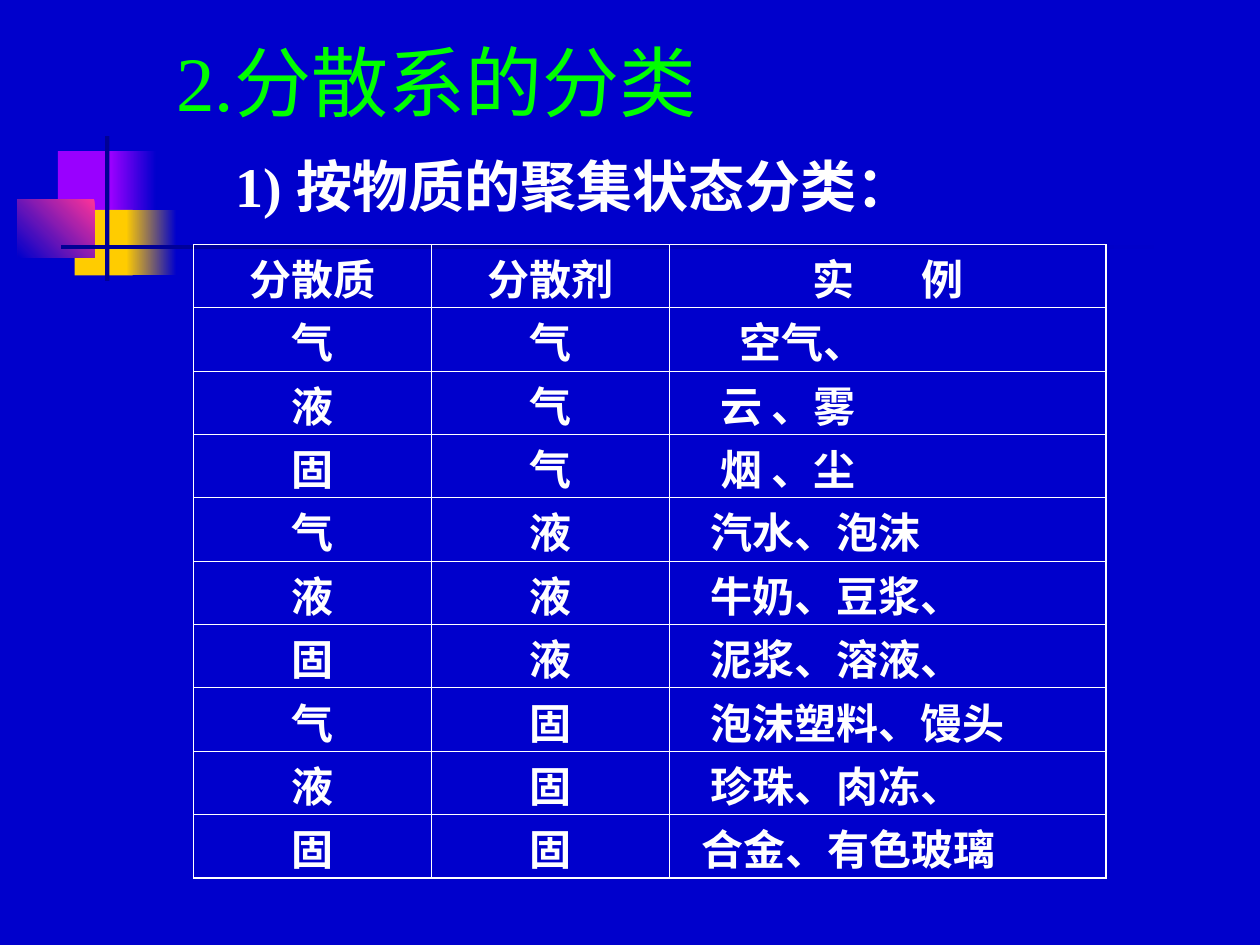
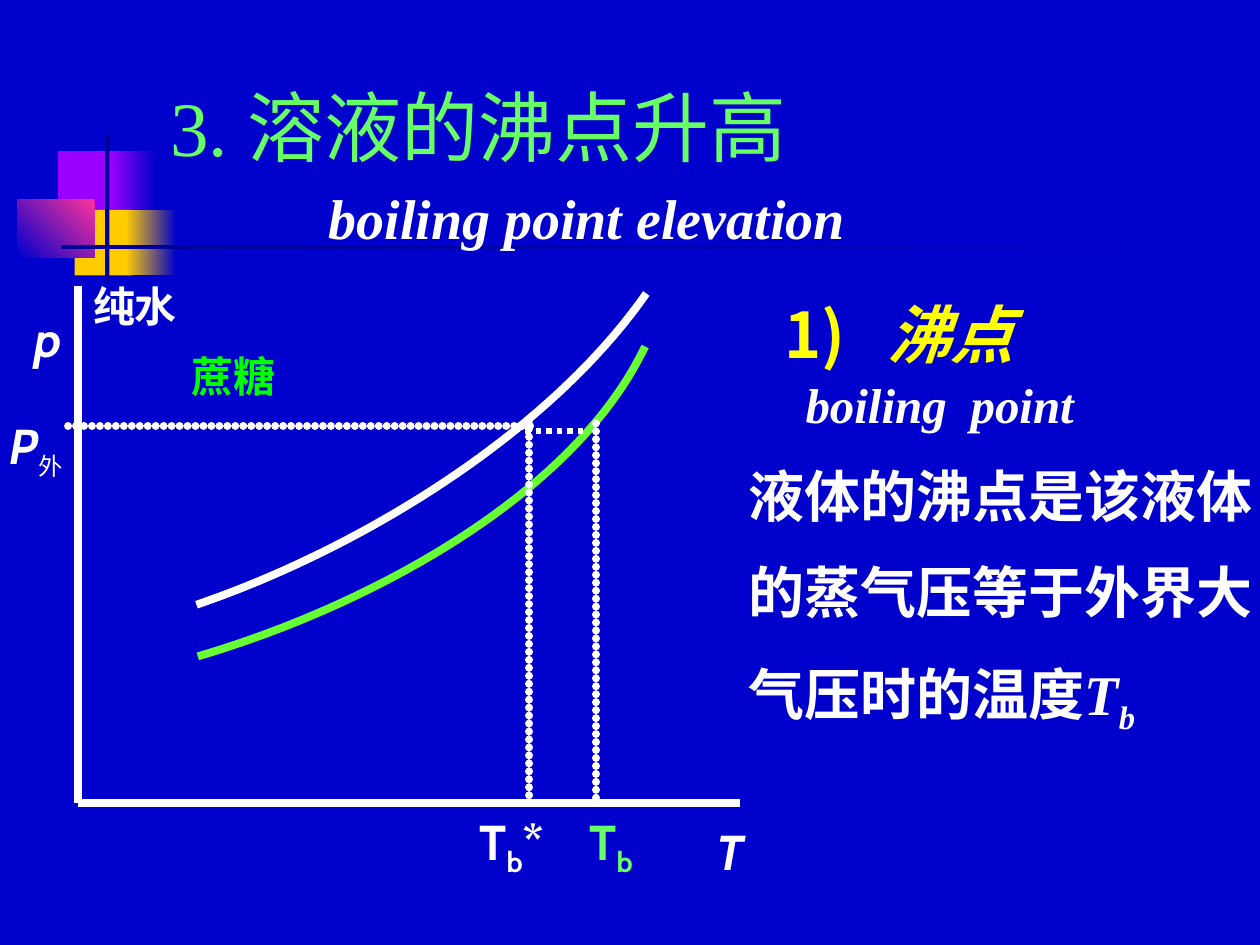
from lxml.etree import SubElement
from pptx import Presentation
from pptx.dml.color import RGBColor
from pptx.enum.shapes import MSO_CONNECTOR as Connector, MSO_SHAPE as Shape
from pptx.enum.text import MSO_ANCHOR as Anchor, PP_ALIGN as Align
from pptx.oxml.ns import qn
from pptx.util import Inches, Pt

COLORS = {
    "ground": "0000CC", "navy": "000094", "purple": "9900FF", "gold": "FFCC00",
    "pink": "FF3399", "white": "FFFFFF", "yellow": "FFFF00",
    "title": "00FF00", "mint": "66FF66", "lime": "66FF33",
}
SERIF, SANS, CJK = "Times New Roman", "Cabin", "Noto Sans CJK SC"
CELL = 0.1  # inches: the slide is a grid of 100 columns by 75 rows
SUB = {"baseline": -25}
TITLE_ONLY = 5

STATES = ["气", "液", "固"]
# example text and its indent in grid columns, dispersed phase changing fastest
EXAMPLES = [
    ("空气、", 4.5), ("云 、雾", 3), ("烟 、尘", 3),
    ("汽水、泡沫", 2.25), ("牛奶、豆浆、", 2.25), ("泥浆、溶液、", 2.25),
    ("泡沫塑料、馒头", 2.25), ("珍珠、肉冻、", 2.25), ("合金、有色玻璃", 1.5),
]


def grid(*cells):
    return [Inches(n * CELL) for n in cells]


def rgb(name):
    return RGBColor.from_string(COLORS[name])


def write(paragraph, text, size=24, font=CJK, color="white", bold=True,
          italic=False, baseline=0, spacing=0):
    """Append one run; spacing is extra points after each character."""
    run = paragraph.add_run()
    run.text = text
    style = run.font
    style.size, style.name, style.bold, style.italic = Pt(size), font, bold, italic
    style.color.rgb = rgb(color)
    props = run._r.get_or_add_rPr()
    if baseline:
        props.set("baseline", str(baseline * 1000))
    if spacing:
        props.set("spc", str(spacing * 100))
    SubElement(props, qn("a:ea"), typeface=CJK)


def add_tab(paragraph, column):
    tabs = SubElement(paragraph._p.get_or_add_pPr(), qn("a:tabLst"))
    SubElement(tabs, qn("a:tab"), pos=str(grid(column)[0]), algn="l")


def bezier(start, pull_start, pull_end, end, steps=40):
    """Points on a cubic curve, in grid cells."""
    points = []
    for step in range(steps + 1):
        t = step / steps
        weights = (1 - t) ** 3, 3 * t * (1 - t) ** 2, 3 * t * t * (1 - t), t ** 3
        corners = list(zip(start, pull_start, pull_end, end))
        points.append(tuple(sum(w * c for w, c in zip(weights, axis))
                            for axis in corners))
    return points


class Deck:
    """Holds the shared style and the slide being drawn."""

    def __init__(self):
        self.show = Presentation()
        self.show.slide_width, self.show.slide_height = grid(100, 75)
        ground = self.show.slide_master.background.fill
        ground.solid()
        ground.fore_color.rgb = rgb("ground")

    def new_slide(self, title, at, color):
        self.slide = self.show.slides.add_slide(self.show.slide_layouts[TITLE_ONLY])
        self.shapes = self.slide.shapes
        self.emblem()
        heading = self.shapes.title
        heading.left, heading.top, heading.width, heading.height = grid(*at)
        frame = heading.text_frame
        frame.vertical_anchor, frame.word_wrap = Anchor.TOP, True
        frame.paragraphs[0].alignment = Align.LEFT
        write(frame.paragraphs[0], title, size=44, font=SERIF, color=color, bold=False)

    def emblem(self):
        self.block((4.6, 12, 4.8, 5.2), "purple")
        self.block((8.8, 12, 3.6, 5.2), "ground", "purple")
        self.block((5.93, 16.65, 4.6, 5.2), "gold")
        self.block((10, 16.65, 4, 5.2), "ground", "gold")
        self.block((1.4, 15.8, 6.1, 4.65), "pink", "ground", angle=225)
        self.block((8.34, 10.8, 0.35, 11.5), "navy")
        self.block((4.84, 19.45, 90, 0.35), "ground", "navy")

    def block(self, at, color, fade_to=None, angle=180):
        block = self.shapes.add_shape(Shape.RECTANGLE, *grid(*at))
        block.shadow.inherit = False
        block.line.fill.background()
        if fade_to:
            block.fill.gradient()
            block.fill.gradient_angle = angle
            for stop, name in zip(block.fill.gradient_stops, (color, fade_to)):
                stop.color.rgb = rgb(name)
        else:
            block.fill.solid()
            block.fill.fore_color.rgb = rgb(color)

    def text(self, at, *lines, wrap=False, leading=None, gap=0, tab=None, **style):
        """Each line is a string or a list of (text, format) runs."""
        frame = self.shapes.add_textbox(*grid(*at)).text_frame
        frame.word_wrap = wrap
        if wrap:
            frame.margin_right = 0
        for number, line in enumerate(lines):
            paragraph = frame.add_paragraph() if number else frame.paragraphs[0]
            if leading:
                paragraph.line_spacing = leading
            if number and gap:
                paragraph.space_before = Pt(gap)
            if tab:
                add_tab(paragraph, tab)
            runs = [(line, {})] if isinstance(line, str) else line
            for words, extra in runs:
                write(paragraph, words, **{**style, **extra})

    def line(self, start, end, width=4.5, dots=None):
        """dots is None, "round" or "square"."""
        line = self.shapes.add_connector(Connector.STRAIGHT, *grid(*start, *end))
        line.line.width = Pt(width)
        line.line.color.rgb = rgb("white")
        stroke = line.line._get_or_add_ln()
        if dots == "round":
            stroke.set("cap", "rnd")
            dash = SubElement(stroke, qn("a:custDash"))
            SubElement(dash, qn("a:ds"), d="1000", sp="100000")
        elif dots == "square":
            SubElement(stroke, qn("a:prstDash"), val="sysDot")
        SubElement(line._element.spPr, qn("a:effectLst"))

    def curve(self, color, *controls):
        points = [grid(*point) for point in bezier(*controls)]
        builder = self.shapes.build_freeform(*points[0])
        builder.add_line_segments(points[1:], close=False)
        curve = builder.convert_to_shape()
        curve.shadow.inherit = False
        curve.fill.background()
        curve.line.color.rgb = rgb(color)
        curve.line.width = Pt(4.5)

    def table(self, left, top, widths, row_height, rows):
        """Each cell is a (runs, indent) pair; an indent of None centres it."""
        size = grid(sum(widths), row_height * len(rows))
        table = self.shapes.add_table(len(rows), len(widths),
                                      *grid(left, top), *size).table
        table.first_row = table.horz_banding = False
        for column, width in zip(table.columns, grid(*widths)):
            column.width = width
        last_row, last_column = len(rows) - 1, len(widths) - 1
        for r, row in enumerate(rows):
            table.rows[r].height = grid(row_height)[0]
            for c, (runs, indent) in enumerate(row):
                cell = table.cell(r, c)
                heavy = {"L": False, "R": c == last_column,
                         "T": False, "B": r == last_row}
                self.border(cell, heavy)
                cell.fill.background()
                cell.vertical_anchor = Anchor.BOTTOM
                cell.margin_top = cell.margin_bottom = 0
                paragraph = cell.text_frame.paragraphs[0]
                if indent is None:
                    paragraph.alignment = Align.CENTER
                else:
                    props = paragraph._p.get_or_add_pPr()
                    props.set("marL", str(grid(indent)[0]))
                    props.set("indent", "0")
                for words, extra in runs:
                    write(paragraph, words, **extra)

    @staticmethod
    def border(cell, heavy):
        props = cell._tc.get_or_add_tcPr()
        for side, is_heavy in heavy.items():
            edge = SubElement(props, qn(f"a:ln{side}"), w=str(Pt(1 if is_heavy else 0.5)))
            fill = SubElement(edge, qn("a:solidFill"))
            SubElement(fill, qn("a:srgbClr"), val=COLORS["white"])


def draw_classification(deck):
    deck.new_slide("2.分散系的分类", (13, 2.2, 60, 9.8), "title")
    deck.text((17.7, 11.5, 71.7, 7.4),
              [("1) 按物质的聚集状态分类", {}), ("：", {"font": "Arial"})],
              wrap=True, size=32, font=SERIF)
    header = [([("分散质", {})], None), ([("分散剂", {})], None),
              ([("实", {}), (" ", {"spacing": 33}), ("例", {})], None)]
    rows = [header]
    for number, (example, indent) in enumerate(EXAMPLES):
        medium, phase = divmod(number, len(STATES))
        rows.append([([(STATES[phase], {})], None), ([(STATES[medium], {})], None),
                     ([(example, {})], indent)])
    deck.table(15.37, 19.4, (18.9, 18.9, 34.6), 5.03, rows)


def draw_boiling_point(deck):
    deck.new_slide("3. 溶液的沸点升高", (12.5, 5.8, 81.8, 9.8), "mint")
    deck.text((25.1, 14.05, 45, 6), "boiling point elevation",
              size=32, font=SERIF, italic=True)

    deck.curve("white", (15.6, 48), (28.5, 43.6), (43.5, 34.5), (51.3, 23.3))
    deck.curve("lime", (15.7, 52.1), (29, 48.2), (45.5, 39.5), (51.2, 27.5))
    origin = (6.2, 63.7)
    deck.line((6.2, 22.7), origin)
    deck.line(origin, (58.7, 63.7))
    deck.line((47.3, 33.6), (47.3, 63.7), dots="round")
    deck.line((42, 33.4), (42, 63.7), dots="round")
    deck.line((5.4, 33.8), (42.5, 33.8), dots="round")
    deck.line((41.7, 34.2), (46.7, 34.2), width=3, dots="square")

    axis = {"size": 28, "font": SANS}
    deck.text((1.77, 24, 4.3, 5.7), "p", italic=True, **axis)
    deck.text((55.9, 64.7, 4, 5.7), "T", italic=True, **axis)
    deck.text((45.8, 63.9, 9.1, 6.3), [("T", {}), ("b", SUB)], color="mint", **axis)
    deck.text((37.08, 63.9, 7.8, 6.3), [("T", {}), ("b", SUB), ("*", {})], **axis)
    outside = {**SUB, "size": 24, "bold": False, "italic": False}
    deck.text((-0.2, 32.5, 7.2, 6.1), [("P", {}), ("外", outside)], italic=True, **axis)
    deck.text((6.4, 21.75, 9, 5.8), "纯水")
    deck.text((14.2, 27.3, 9, 5.8), "蔗糖", color="title")

    deck.text((61.25, 23, 30, 8), [("1)\t", {}), ("沸点", {"italic": True})],
              size=36, color="yellow", tab=8.2)
    deck.text((62.95, 29.25, 30, 5.7), "boiling\tpoint",
              size=28, font=SERIF, italic=True, tab=13.1)
    symbol = {"font": SERIF, "italic": True}
    deck.text((58.4, 36.75, 41.6, 23), "液体的沸点是该液体", "的蒸气压等于外界大",
              [("气压时的温度", {}), ("T", symbol), ("b", {**symbol, **SUB})],
              wrap=True, size=32, leading=0.9, gap=20)


def main():
    deck = Deck()
    draw_classification(deck)
    draw_boiling_point(deck)
    deck.show.save("out.pptx")


if __name__ == "__main__":
    main()
